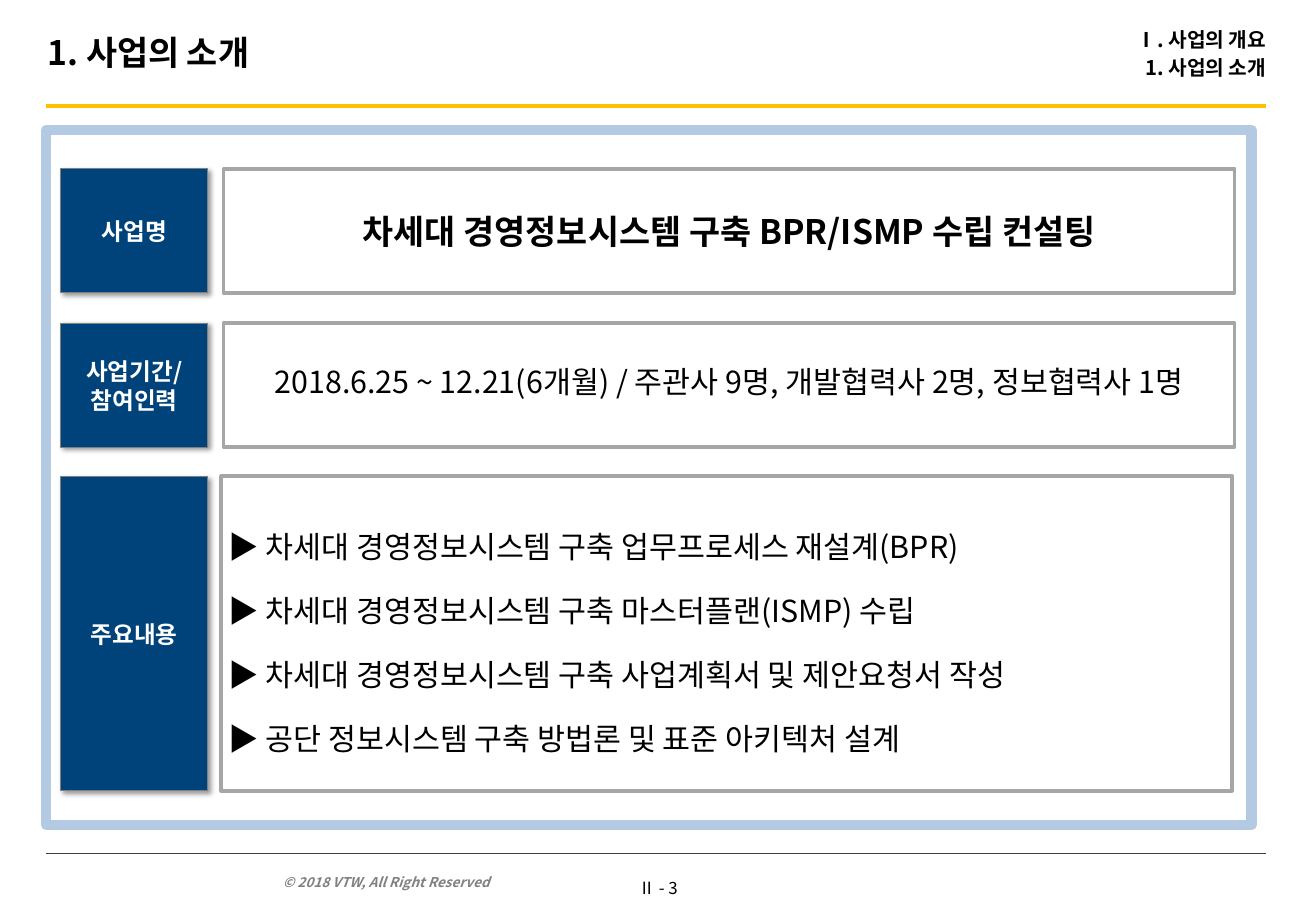
"""Build the project introduction slide with three labelled rows."""
from lxml import etree
from pptx import Presentation
from pptx.dml.color import RGBColor
from pptx.enum.shapes import MSO_CONNECTOR, MSO_SHAPE
from pptx.enum.text import MSO_ANCHOR, MSO_AUTO_SIZE, PP_ALIGN
from pptx.oxml import parse_xml
from pptx.oxml.ns import nsdecls, qn
from pptx.util import Emu, Pt

PX = 9144
FONT = "Noto Sans CJK KR"
LEFT, CENTER, RIGHT = PP_ALIGN.LEFT, PP_ALIGN.CENTER, PP_ALIGN.RIGHT
SHADOW = (
    f'<a:outerShdw {nsdecls("a")} blurRad="38100" dist="25400" dir="2700000" algn="tl" rotWithShape="0">'
    '<a:srgbClr val="000000"><a:alpha val="40000"/></a:srgbClr></a:outerShdw>'
)


def color(value):
    """Turn a hex string into a colour."""
    return RGBColor.from_string(value)


def write(shape, lines, size, align=LEFT, ink="000000", bold=False, italic=False,
          insets=(0, 0, 0, 0), anchor=MSO_ANCHOR.MIDDLE, spacing=None, before=0, wrap=True):
    """Write lines as paragraphs in a shape."""
    frame = shape.text_frame
    frame.word_wrap = wrap
    frame.auto_size = MSO_AUTO_SIZE.NONE
    frame.vertical_anchor = anchor
    frame.margin_left, frame.margin_top, frame.margin_right, frame.margin_bottom = [
        Emu(inset * PX) for inset in insets]
    for index, line in enumerate(lines):
        paragraph = frame.add_paragraph() if index else frame.paragraphs[0]
        paragraph.alignment = align
        paragraph.space_before = Pt(before if index else 0)
        if spacing:
            paragraph.line_spacing = Pt(spacing)
        run = paragraph.add_run()
        run.text = line
        font = run.font
        font.name, font.size, font.bold, font.italic = FONT, Pt(size), bold, italic
        font.color.rgb = color(ink)
        etree.SubElement(run._r.get_or_add_rPr(), qn("a:ea"), typeface=FONT)


presentation = Presentation()
presentation.slide_width = Emu(1083 * PX)
presentation.slide_height = Emu(750 * PX)
slide = presentation.slides.add_slide(presentation.slide_layouts[5])
shapes = slide.shapes

for y, line_color, width in [(87, "FFC000", 2.5), (703, "404040", 0.5)]:
    rule = shapes.add_connector(MSO_CONNECTOR.STRAIGHT, 38 * PX, y * PX, 1042 * PX, y * PX)
    rule.line.color.rgb = color(line_color)
    rule.line.width = Pt(width)
    etree.SubElement(rule._element.spPr, qn("a:effectLst"))

title = shapes.title
title.left, title.top, title.width, title.height = [Emu(n * PX) for n in (39, 0, 503, 86)]
write(title, ["1. 사업의 소개"], 20, bold=True, insets=(0, 5, 10, 5))

chapter = shapes.add_textbox(542 * PX, 0, 500 * PX, 88 * PX)
write(chapter, ["Ⅰ. 사업의 개요", "1. 사업의 소개"], 12, RIGHT, bold=True,
      insets=(0, 5, 0, 5), spacing=14, before=2.4)

copyright_box = shapes.add_textbox(223 * PX, 711 * PX, 237 * PX, 27 * PX)
write(copyright_box, ["© 2018 VTW, All Right Reserved"], 8, ink="808080", bold=True, italic=True,
      insets=(10, 5, 10, 5), anchor=MSO_ANCHOR.BOTTOM)

page_number = shapes.add_textbox(512 * PX, 718 * PX, 59 * PX, 27 * PX)
write(page_number, ["Ⅱ - 3"], 10, CENTER, insets=(6, 5, 6, 5), anchor=MSO_ANCHOR.TOP, wrap=False)

border = shapes.add_shape(MSO_SHAPE.RECTANGLE, 38 * PX, 107 * PX, 992 * PX, 572 * PX)
border.fill.background()
border.line.color.rgb = color("B4C9E2")
border.line.width = Pt(6)
border.shadow.inherit = False

rows = [
    (139, 102, 184, ["사업명"], ["차세대 경영정보시스템 구축 BPR/ISMP 수립 컨설팅"],
     dict(size=20, align=CENTER, bold=True)),
    (266, 102, 184, ["사업기간/", "참여인력"],
     ["2018.6.25 ~ 12.21(6개월) / 주관사 9명, 개발협력사 2명, 정보협력사 1명"],
     dict(size=18, align=CENTER, spacing=17)),
    (392, 259, 182, ["주요내용"],
     ["▶ 차세대 경영정보시스템 구축 업무프로세스 재설계(BPR)",
      "▶ 차세대 경영정보시스템 구축 마스터플랜(ISMP) 수립",
      "▶ 차세대 경영정보시스템 구축 사업계획서 및 제안요청서 작성",
      "▶ 공단 정보시스템 구축 방법론 및 표준 아키텍처 설계"],
     dict(size=18, insets=(6, 0, 0, 0), spacing=32, before=6)),
]
for top, height, content_left, label_lines, content_lines, style in rows:
    label = shapes.add_shape(MSO_SHAPE.CHEVRON, 50 * PX, top * PX, 121 * PX, height * PX)
    label.adjustments[0] = 0
    content = shapes.add_shape(MSO_SHAPE.RECTANGLE, content_left * PX, top * PX, 832 * PX, height * PX)
    for box, fill, line_color, width in [(label, "00437A", "808080", 0.5),
                                         (content, "FFFFFF", "A6A6A6", 2.25)]:
        box.fill.solid()
        box.fill.fore_color.rgb = color(fill)
        box.line.color.rgb = color(line_color)
        box.line.width = Pt(width)
        box.shadow.inherit = False
    label._element.spPr.find(qn("a:effectLst")).append(parse_xml(SHADOW))
    write(label, label_lines, 14, CENTER, "FFFFFF", bold=True, spacing=17)
    write(content, content_lines, **style)

presentation.save("out.pptx")
